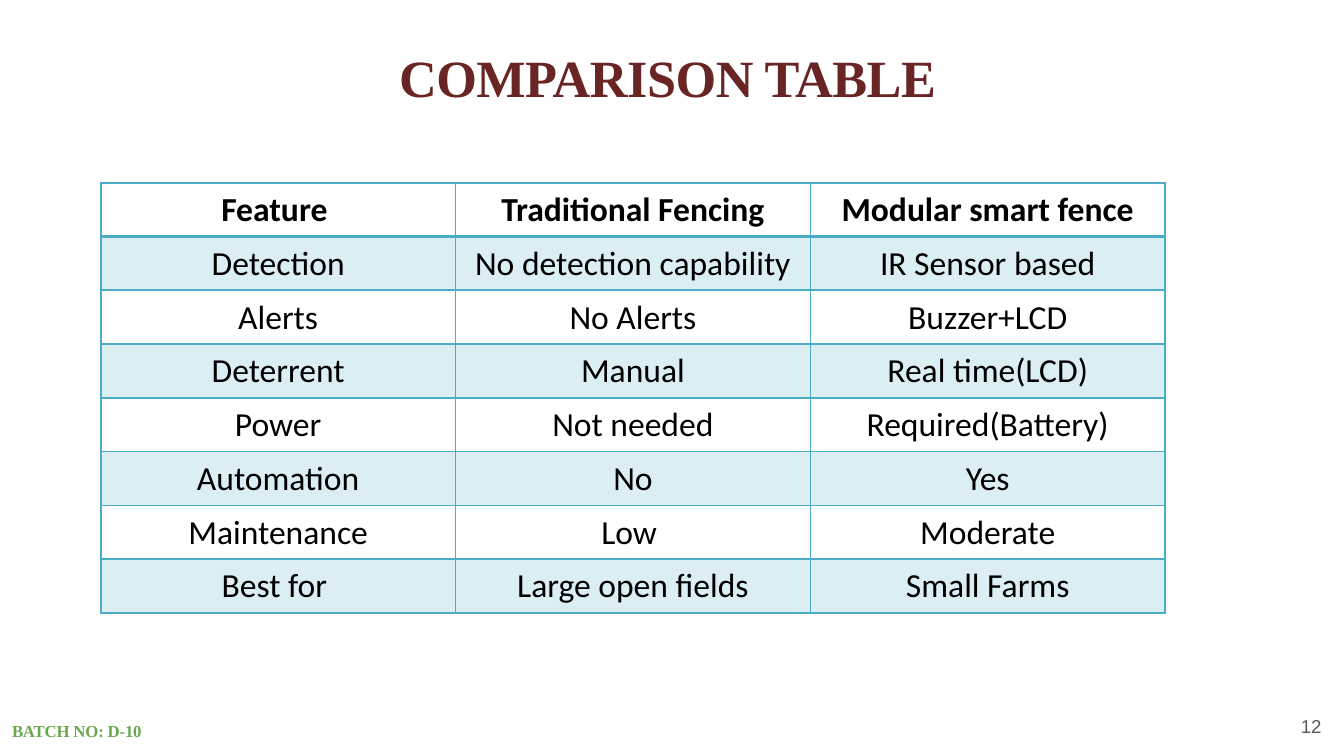
"""Build the comparison table slide."""
from dataclasses import dataclass

from lxml import etree
from pptx import Presentation
from pptx.dml.color import RGBColor
from pptx.enum import text as t
from pptx.oxml import ns
from pptx.util import Inches, Pt

MAROON = RGBColor(0x68, 0x25, 0x23)
GREEN = RGBColor(0x6A, 0xA8, 0x4F)
GREY = RGBColor(0x59, 0x59, 0x59)
TEAL = RGBColor(0x4B, 0xAC, 0xC6)
BLACK = RGBColor(0, 0, 0)
SERIF = "Times New Roman"
ROWS = (
    ("Feature ", "Traditional Fencing", "Modular smart fence"),
    ("Detection", "No detection capability", "IR Sensor based"),
    ("Alerts", "No Alerts", "Buzzer+LCD"),
    ("Deterrent", "Manual", "Real time(LCD)"),
    ("Power", "Not needed", "Required(Battery)"),
    ("Automation", "No", "Yes"),
    ("Maintenance", "Low ", "Moderate"),
    ("Best for ", "Large open fields", "Small Farms"),
)


@dataclass(frozen=True)
class Box:
    left: float
    top: float
    width: float
    height: float

    def lengths(self) -> tuple:
        return tuple(Inches(n) for n in (self.left, self.top, self.width, self.height))


@dataclass(frozen=True)
class Label:
    box: Box
    text: str
    font: str
    size: float
    color: RGBColor
    bold: bool = False


FOOTERS = (
    Label(Box(0.08, 5.36, 1.03, 0.15), "BATCH NO: D-10", SERIF, 9, GREEN, True),
    Label(Box(9.67, 5.32, 0.18, 0.17), "12", "Arial", 10, GREY),
)


def write_text(frame, text: str, *, font: str, size: float, color: RGBColor,
               bold: bool = False, align=t.PP_ALIGN.LEFT, spacing: float = 0) -> None:
    paragraph = frame.paragraphs[0]
    paragraph.alignment = align
    run = paragraph.add_run()
    run.text = text
    run.font.name = font
    run.font.size = Pt(size)
    run.font.bold = bold
    run.font.color.rgb = color
    if spacing:
        run.font._element.set("spc", str(round(spacing * 100)))


def set_margins(frame) -> None:
    frame.margin_top = frame.margin_right = frame.margin_bottom = 0
    frame.margin_left = Inches(0.01)
    frame.vertical_anchor = t.MSO_ANCHOR.TOP
    frame.word_wrap = True


def add_title(slide, box: Box, text: str) -> None:
    title = slide.shapes.title
    title.left, title.top, title.width, title.height = box.lengths()
    set_margins(title.text_frame)
    title.text_frame.margin_top = Inches(0.02)
    title.text_frame.auto_size = t.MSO_AUTO_SIZE.NONE
    write_text(title.text_frame, text, font=SERIF, size=28, color=MAROON,
               bold=True, spacing=-0.25)
    title.text_frame.paragraphs[0].space_before = Pt(1)


def add_label(slide, label: Label) -> None:
    frame = slide.shapes.add_textbox(*label.box.lengths()).text_frame
    set_margins(frame)
    write_text(frame, label.text, font=label.font, size=label.size,
               color=label.color, bold=label.bold, spacing=-0.1)


def set_borders(cell, widths: dict[str, float]) -> None:
    properties = cell._tc.get_or_add_tcPr()
    for side, width in widths.items():
        line = etree.SubElement(properties, ns.qn(f"a:ln{side}"), w=str(Pt(width)))
        fill = etree.SubElement(line, ns.qn("a:solidFill"))
        etree.SubElement(fill, ns.qn("a:srgbClr"), val=str(TEAL))


def set_fill(cell, shaded: bool) -> None:
    if not shaded:
        cell.fill.background()
        return
    cell.fill.solid()
    cell.fill.fore_color.rgb = TEAL
    color = cell._tc.tcPr.find(ns.qn("a:solidFill")).find(ns.qn("a:srgbClr"))
    etree.SubElement(color, ns.qn("a:alpha"), val="20000")


def add_comparison(slide, box: Box) -> None:
    table = slide.shapes.add_table(len(ROWS), len(ROWS[0]), *box.lengths()).table
    table.first_row = table.horz_banding = False
    for row, texts in enumerate(ROWS):
        for column, text in enumerate(texts):
            cell = table.cell(row, column)
            cell.margin_bottom = Inches(0.04)
            set_borders(cell, {"L": 1, "R": 1, "T": 2 if row == 1 else 1,
                               "B": 2 if row == 0 else 1})
            set_fill(cell, row % 2 == 1)
            write_text(cell.text_frame, text, font="Calibri", size=18, color=BLACK,
                       bold=row == 0, align=t.PP_ALIGN.CENTER)


def main() -> None:
    presentation = Presentation()
    presentation.slide_width = Inches(10)
    presentation.slide_height = presentation.slide_width * 9 // 16
    slide = presentation.slides.add_slide(presentation.slide_layouts[5])
    add_title(slide, Box(2.96, 0.32, 4.08, 0.49), "COMPARISON TABLE")
    add_comparison(slide, Box(0.75, 1.36, 7.92, 3.2))
    for label in FOOTERS:
        add_label(slide, label)
    presentation.save("out.pptx")


if __name__ == "__main__":
    main()
